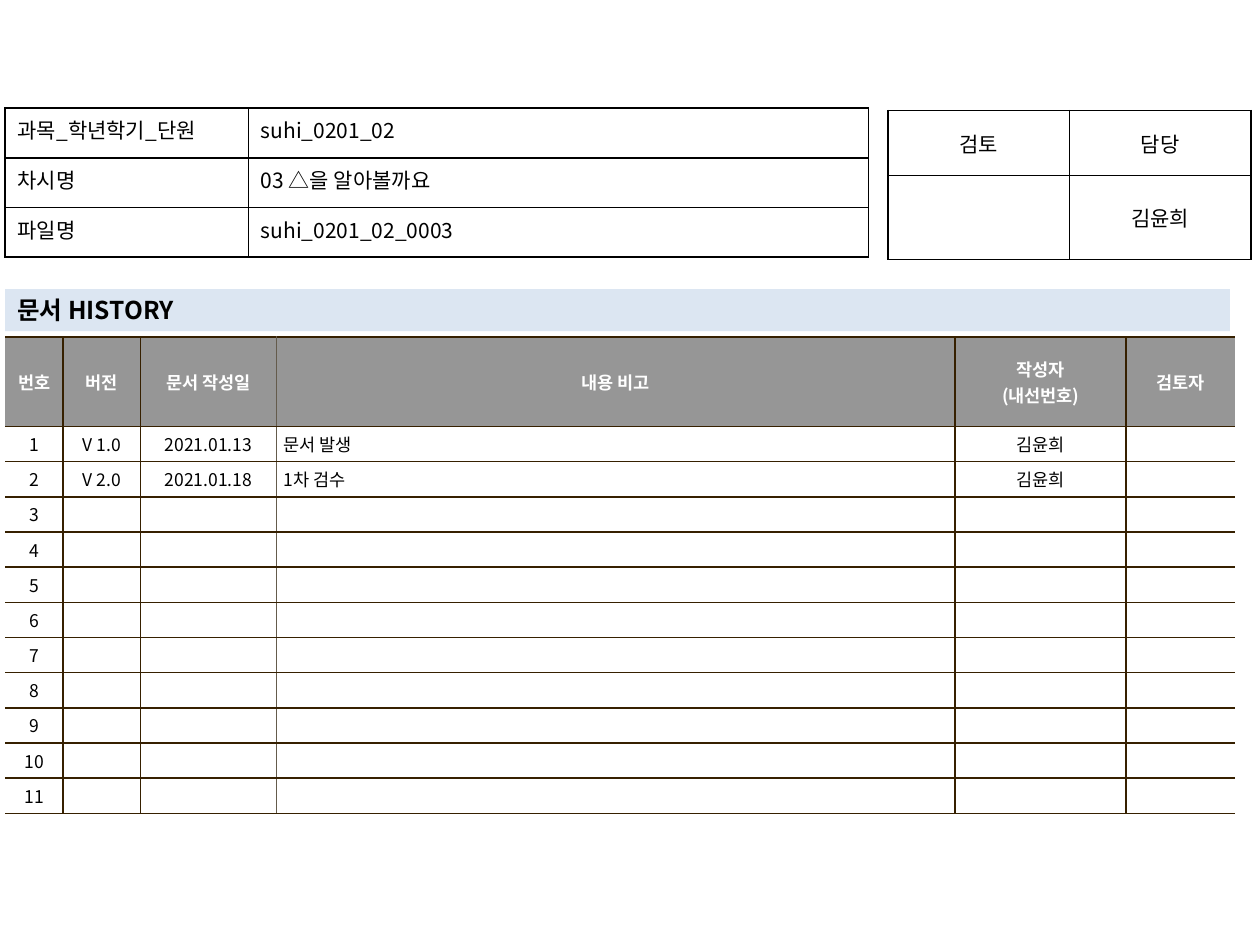
from lxml import etree
from pptx import Presentation
from pptx.dml.color import RGBColor
from pptx.enum import shapes, text
from pptx.oxml import ns
from pptx.util import Pt

BLACK = RGBColor(0x00, 0x00, 0x00)
WHITE = RGBColor(0xFF, 0xFF, 0xFF)
GRAY = RGBColor(0x96, 0x96, 0x96)
BROWN = RGBColor(0x36, 0x20, 0x00)
TAUPE = RGBColor(0x64, 0x5B, 0x4C)
PALE_BLUE = RGBColor(0xDC, 0xE6, 0xF2)

LEFT, CENTER, JUSTIFY = text.PP_ALIGN.LEFT, text.PP_ALIGN.CENTER, text.PP_ALIGN.JUSTIFY
TOP, MIDDLE = text.MSO_ANCHOR.TOP, text.MSO_ANCHOR.MIDDLE


class Page:
    font_name = "Noto Sans CJK KR"

    def __init__(self, slide):
        self.slide = slide

    def set_text(self, frame, content, size, color=BLACK, bold=False, align=LEFT):
        frame.text = content
        for paragraph in frame.paragraphs:
            paragraph.alignment = align
            font = paragraph.font
            font.name, font.size, font.bold = self.font_name, Pt(size), bold
            font.color.rgb = color
            properties = paragraph._p.pPr.find(ns.qn("a:defRPr"))
            etree.SubElement(properties, ns.qn("a:ea"), typeface=self.font_name)
            if not paragraph.runs:
                # Keeps an empty cell from growing its row
                etree.SubElement(paragraph._p, ns.qn("a:endParaRPr"), sz=str(size * 100))

    def bar(self, left, top, width, height, content, size, color):
        shape = self.slide.shapes.add_shape(
            shapes.MSO_SHAPE.RECTANGLE, Pt(left), Pt(top), Pt(width), Pt(height))
        shape.shadow.inherit = False
        shape.fill.solid()
        shape.fill.fore_color.rgb = color
        shape.line.fill.background()
        shape.text_frame.vertical_anchor = MIDDLE
        self.set_text(shape.text_frame, content, size, bold=True)

    def table(self, left, top, widths, heights):
        table = self.slide.shapes.add_table(
            len(heights), len(widths), Pt(left), Pt(top),
            Pt(sum(widths)), Pt(sum(heights))).table
        table.first_row = table.horz_banding = False
        for column, width in zip(table.columns, widths):
            column.width = Pt(width)
        for row, height in zip(table.rows, heights):
            row.height = Pt(height)
        return table

    def cell(self, cell, content, size, borders, fill=None, anchor=MIDDLE,
             margins=(7.2, 3.6), **style):
        cell.vertical_anchor = anchor
        cell.margin_left = cell.margin_right = Pt(margins[0])
        cell.margin_top = cell.margin_bottom = Pt(margins[1])
        self.set_text(cell.text_frame, content, size, **style)
        # Borders come before the fill in the cell properties
        properties = cell._tc.get_or_add_tcPr()
        for side in "LRTB":
            line = etree.SubElement(properties, ns.qn("a:ln" + side), w=str(Pt(1)))
            if borders.get(side) is None:
                etree.SubElement(line, ns.qn("a:noFill"))
            else:
                solid = etree.SubElement(line, ns.qn("a:solidFill"))
                etree.SubElement(solid, ns.qn("a:srgbClr"), val=str(borders[side]))
        if fill is None:
            cell.fill.background()
        else:
            cell.fill.solid()
            cell.fill.fore_color.rgb = fill


presentation = Presentation()
presentation.slide_width, presentation.slide_height = Pt(720), Pt(540)
page = Page(presentation.slides.add_slide(presentation.slide_layouts[6]))
black_box = dict.fromkeys("LRTB", BLACK)

# Document history
headings = ["번호", "버전", "문서 작성일", "내용 비고", "작성자\n(내선번호)", "검토자"]
entries = {1: ["V 1.0", "2021.01.13", "문서 발생", "김윤희", ""],
           2: ["V 2.0", "2021.01.18", "1차 검수", "김윤희", ""]}
history_rows = [headings] + [
    [str(number)] + entries.get(number, [""] * 5) for number in range(1, 12)]
column_lines = [None, BROWN, BROWN, TAUPE, BROWN, BROWN, None]
NOTE_COLUMN = 3

history = page.table(2.9, 192.7, [33.2, 44.2, 77.6, 388, 97.7, 62.3], [51] + [20.1] * 11)
for row, values in enumerate(history_rows):
    is_heading = row == 0
    for column, value in enumerate(values):
        page.cell(
            history.cell(row, column), value, 10,
            {"L": column_lines[column], "R": column_lines[column + 1], "T": BROWN, "B": BROWN},
            fill=GRAY if is_heading else WHITE, margins=(4.2, 2.5),
            color=WHITE if is_heading else BLACK, bold=is_heading,
            align=LEFT if column == NOTE_COLUMN and not is_heading else CENTER)

# Approval box
approval = page.table(507.5, 63.2, [103.7, 103.7], [37, 48])
for row, values in enumerate([["검토", "담당"], ["", "김윤희"]]):
    for column, value in enumerate(values):
        page.cell(approval.cell(row, column), value, 12, black_box, align=CENTER)

# Section title
page.bar(2.9, 165.2, 700, 24, "문서 HISTORY", 14, PALE_BLUE)

# Lesson details
details = page.table(2.9, 61.8, [139, 354.3], [28.4] * 3)
lesson = [("과목_학년학기_단원", "suhi_0201_02"),
          ("차시명", "03 △을 알아볼까요"),
          ("파일명", "suhi_0201_02_0003")]
for row, values in enumerate(lesson):
    for column, value in enumerate(values):
        page.cell(details.cell(row, column), value, 12, black_box, anchor=TOP,
                  align=LEFT if column else JUSTIFY)

presentation.save("out.pptx")
